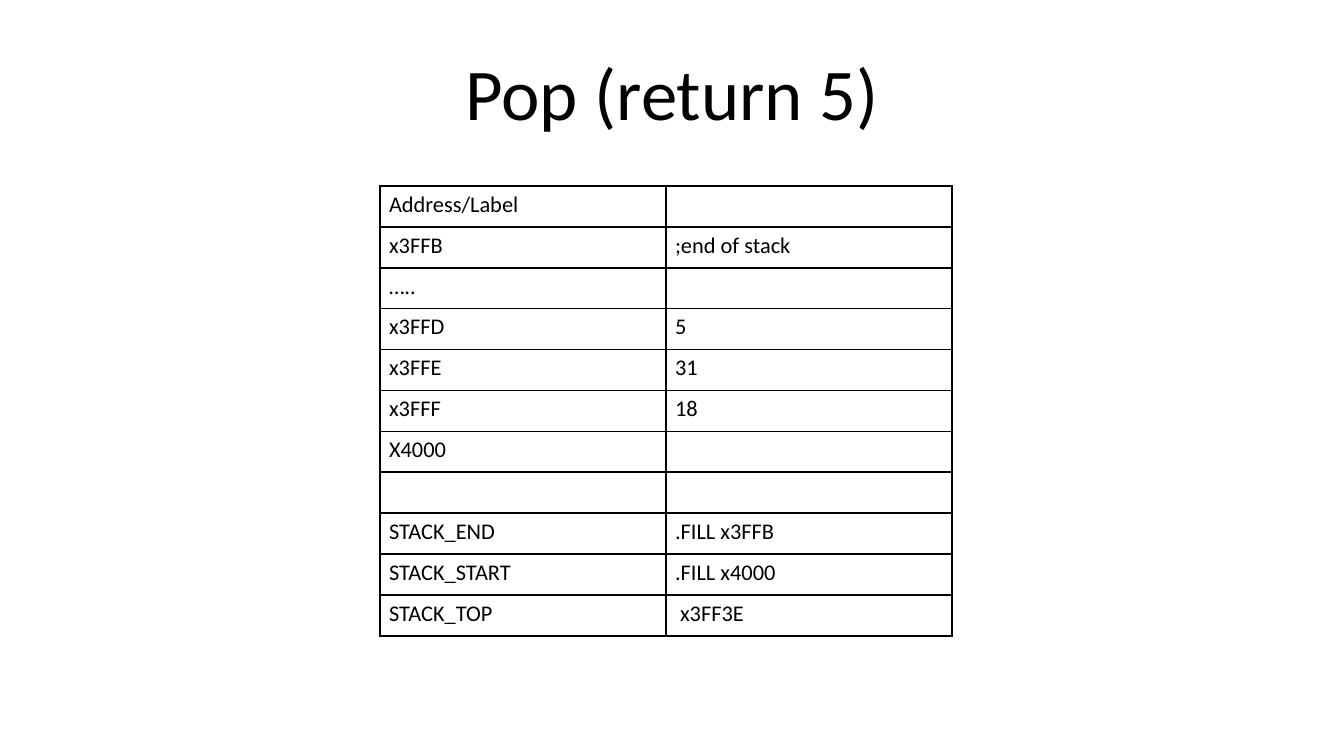
from dataclasses import dataclass

from lxml import etree
from pptx import Presentation
from pptx.dml.color import RGBColor
from pptx.enum.text import MSO_ANCHOR, MSO_AUTO_SIZE, PP_ALIGN
from pptx.oxml.ns import qn
from pptx.util import Pt

LEFT, CENTER = PP_ALIGN.LEFT, PP_ALIGN.CENTER
TOP = MSO_ANCHOR.TOP
NO_AUTOFIT = MSO_AUTO_SIZE.NONE

PAGE_WIDTH, PAGE_HEIGHT = 1344, 756
EMU_PER_PX = 9144000 / PAGE_WIDTH
TITLE_ONLY = 5

STACK_ROWS = [
    ("Address/Label", ""),
    ("x3FFB", ";end of stack"),
    ("…..", ""),
    ("x3FFD", "5"),
    ("x3FFE", "31"),
    ("x3FFF", "18"),
    ("X4000", ""),
    ("", ""),
    ("STACK_END", ".FILL x3FFB"),
    ("STACK_START", ".FILL x4000"),
    ("STACK_TOP", " x3FF3E"),
]


@dataclass(frozen=True)
class Theme:
    font: str = "Calibri"
    ink: str = "000000"
    paper: str = "FFFFFF"
    title_size: int = 39
    cell_size: int = 12
    border_width: int = 1


THEME = Theme()


def px(length):
    return round(length * EMU_PER_PX)


def write_text(para, text, *, size, align=LEFT, color=THEME.ink):
    """Fill a paragraph; an empty one still gets its type size."""
    para.alignment = align
    if not text:
        end = etree.SubElement(para._p, qn("a:endParaRPr"))
        end.set("sz", str(size * 100))
        return
    span = para.add_run()
    span.text = text
    span.font.name = THEME.font
    span.font.size = Pt(size)
    span.font.color.rgb = RGBColor.from_string(color)


def set_margins(box, side, top, bottom):
    box.margin_left = box.margin_right = px(side)
    box.margin_top, box.margin_bottom = px(top), px(bottom)


def add_title(page, text, left, top, width, height):
    title = page.shapes.title
    title.left, title.top = px(left), px(top)
    title.width, title.height = px(width), px(height)
    frame = title.text_frame
    frame.word_wrap = True
    frame.auto_size = NO_AUTOFIT
    frame.vertical_anchor = TOP
    set_margins(frame, 9, 8, 5)
    write_text(frame.paragraphs[0], text, size=THEME.title_size, align=CENTER)


def add_borders(cell):
    properties = cell._tc.get_or_add_tcPr()
    for side in ("L", "R", "T", "B"):
        line = etree.SubElement(properties, qn(f"a:ln{side}"))
        line.set("w", str(Pt(THEME.border_width)))
        fill = etree.SubElement(line, qn("a:solidFill"))
        etree.SubElement(fill, qn("a:srgbClr")).set("val", THEME.ink)


def format_cell(cell, text):
    add_borders(cell)
    cell.fill.solid()
    cell.fill.fore_color.rgb = RGBColor.from_string(THEME.paper)
    cell.vertical_anchor = TOP
    set_margins(cell, 9, 5, 5)
    write_text(cell.text_frame.paragraphs[0], text, size=THEME.cell_size)


def add_stack_table(page, rows, left, top, width, height):
    columns = len(rows[0])
    table = page.shapes.add_table(
        len(rows), columns, px(left), px(top), px(width), px(height)
    ).table
    table.first_row = table.horz_banding = False
    for column in table.columns:
        column.width = px(width / columns)
    for row, texts in zip(table.rows, rows):
        row.height = px(height / len(rows))
        for cell, text in zip(row.cells, texts):
            format_cell(cell, text)


def main():
    deck = Presentation()
    deck.slide_width, deck.slide_height = px(PAGE_WIDTH), px(PAGE_HEIGHT)
    page = deck.slides.add_slide(deck.slide_layouts[TITLE_ONLY])

    # Heading
    add_title(page, "Pop (return 5)", 93, 40, 1158, 147)

    # Stack memory after the pop
    add_stack_table(page, STACK_ROWS, 380, 186, 572, 450)

    deck.save("out.pptx")


if __name__ == "__main__":
    main()
